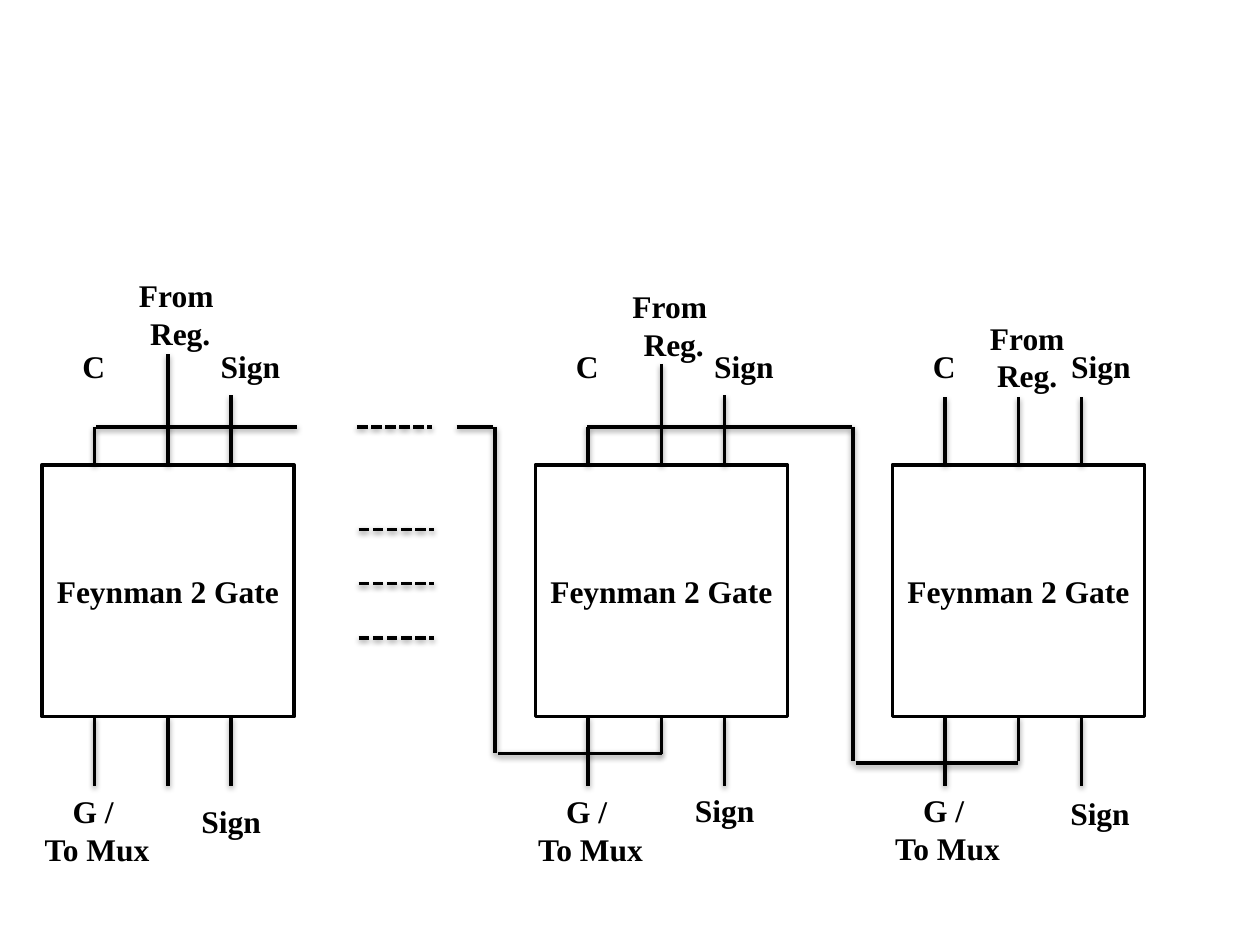
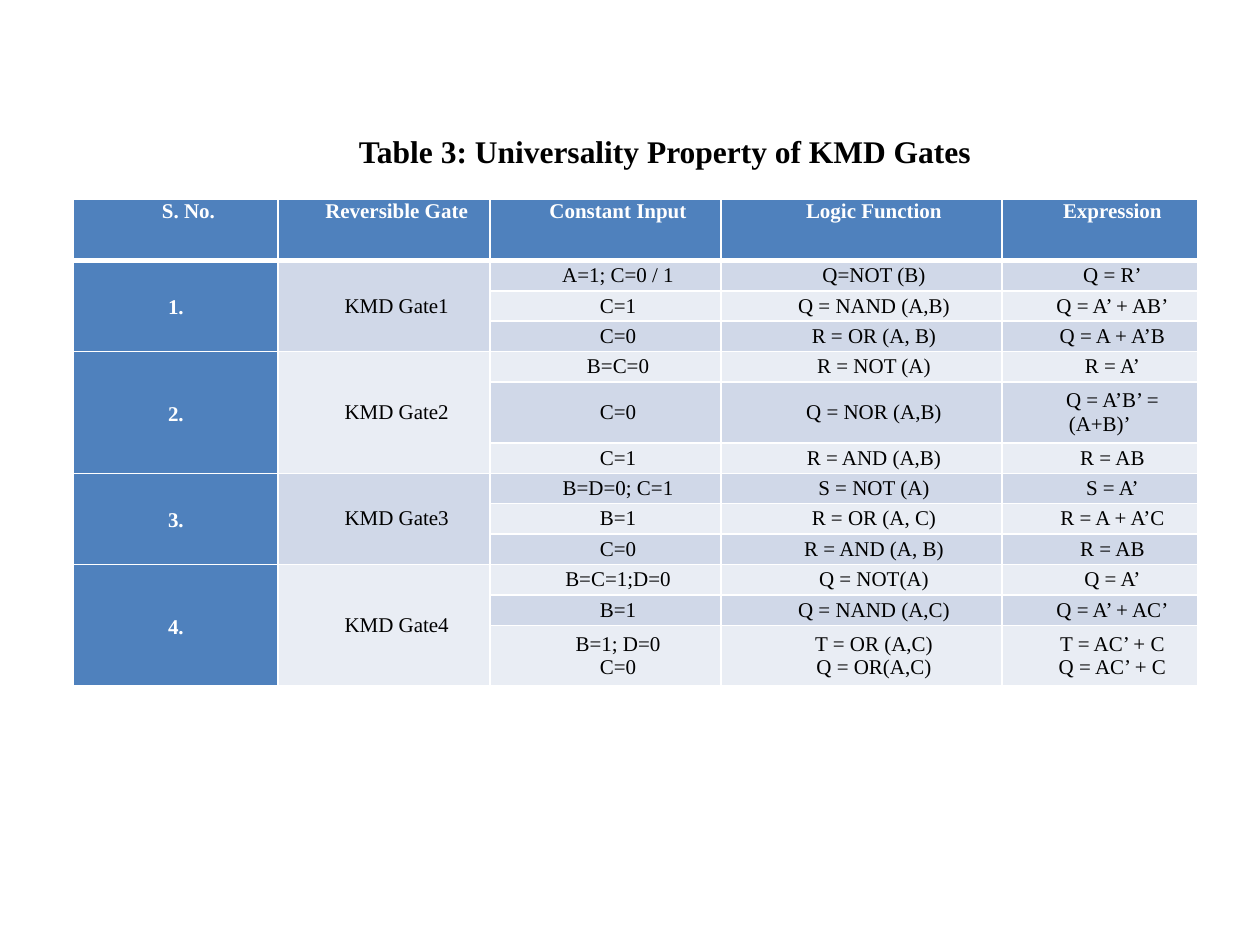
import pptx
import pptx.util
import pptx.dml.color
import pptx.enum.dml
import pptx.enum.shapes
import pptx.enum.text
import pptx.oxml
import pptx.oxml.ns
from lxml import etree

Pt = pptx.util.Pt
RGB = pptx.dml.color.RGBColor
ALIGN = pptx.enum.text.PP_ALIGN
ANCHOR = pptx.enum.text.MSO_ANCHOR
qn = pptx.oxml.ns.qn

BLACK = RGB(0, 0, 0)
WHITE = RGB(255, 255, 255)
BLUE = RGB(0x4F, 0x81, 0xBD)
BANDS = [RGB(0xD0, 0xD8, 0xE8), RGB(0xE9, 0xED, 0xF4)]
FACE = "Times New Roman"

SIDE, TOP = 144, 265.6
BASE = TOP + SIDE
PINS = (30, 72, 108)
BUS = 244
GATES = [
    dict(left=24, tops=(BUS, 202.5, 226), ends=(449, 449, 449),
         reg=("From \nReg.", 154, 62), mux=449, sign=(84, 454.5)),
    dict(left=306, tops=(BUS, 208, 226), ends=(449, 431, 449),
         reg=("From \nReg.", 160.5, 62), mux=449, sign=(84, 448.5)),
    dict(left=510, tops=(227, 227, 227), ends=(449, 435, 449),
         reg=("From\nReg.", 178.5, 58), mux=448.5, sign=(94.5, 450)),
]
LINKS = [
    (55, BUS, 170, BUS), (335.5, BUS, 487, BUS),
    (487.5, BUS, 487.5, 435), (489, 436, 582, 436),
    (261, BUS, 282, BUS), (283, BUS, 283, 430.5), (284.5, 430.5, 378, 430.5),
]
DOTS = [(204, BUS)] + [(205, 302.5 + 31 * n) for n in range(3)]

TITLE = "Table 3: Universality Property of KMD Gates"
HEADS = ["S. No.", "Reversible Gate", "Constant Input", "Logic Function", "Expression"]
WIDTHS = [117, 121, 132, 160.5, 112]
UNIT = 17.4
ROWS = {
    "KMD Gate1": [
        ("A=1; C=0 / 1", "Q=NOT (B)", "Q = R’"),
        ("C=1", "Q = NAND (A,B)", "Q = A’ + AB’"),
        ("C=0", "R = OR (A, B)", "Q = A + A’B"),
    ],
    "KMD Gate2": [
        ("B=C=0", "R = NOT (A)", "R = A’"),
        ("C=0", "Q = NOR (A,B)", "Q = A’B’ = (A+B)’"),
        ("C=1", "R = AND (A,B)", "R = AB"),
    ],
    "KMD Gate3": [
        ("B=D=0; C=1", "S = NOT (A)", "S = A’"),
        ("B=1", "R = OR (A, C)", "R = A + A’C"),
        ("C=0", "R = AND (A, B)", "R = AB"),
    ],
    "KMD Gate4": [
        ("B=C=1;D=0", "Q = NOT(A)", "Q = A’"),
        ("B=1", "Q = NAND (A,C)", "Q = A’ + AC’"),
        ("B=1; D=0\nC=0", "T = OR (A,C)\nQ = OR(A,C)", "T = AC’ + C\nQ = AC’ + C"),
    ],
}
TALL = (0, 5, 12)


def write(frame, text, size=18, bold=True, color=BLACK, align=ALIGN.CENTER,
          indent=0, space=None):
    for n, line in enumerate(text.split("\n")):
        para = frame.add_paragraph() if n else frame.paragraphs[0]
        para.alignment = align
        para.line_spacing = space
        if indent:
            prop = para._p.get_or_add_pPr()
            prop.set("marL", "0")
            prop.set("indent", str(Pt(indent)))
        run = para.add_run()
        run.text = line
        run.font.name, run.font.size = FACE, Pt(size)
        run.font.bold = bold
        run.font.color.rgb = color


def label(slide, text, x, y, w, h=29, **form):
    box = slide.shapes.add_textbox(Pt(x), Pt(y), Pt(w), Pt(h))
    box.text_frame.word_wrap = False
    box.text_frame.auto_size = pptx.enum.text.MSO_AUTO_SIZE.SHAPE_TO_FIT_TEXT
    write(box.text_frame, text, **form)


def wire(slide, x1, y1, x2, y2, dash=False):
    line = slide.shapes.add_connector(
        pptx.enum.shapes.MSO_CONNECTOR.STRAIGHT, Pt(x1), Pt(y1), Pt(x2), Pt(y2))
    line.line.color.rgb = BLACK
    line.line.width = Pt(2)
    if dash:
        line.line.dash_style = pptx.enum.dml.MSO_LINE.SQUARE_DOT
        dots = line.line._ln.find(qn("a:prstDash"))
        dots.set("val", "sysDash")
    glow = etree.SubElement(line._element.spPr, qn("a:effectLst"))
    cast = etree.SubElement(glow, qn("a:outerShdw"), blurRad="40000",
                            dist="20000", dir="5400000", rotWithShape="0")
    tint = etree.SubElement(cast, qn("a:srgbClr"), val=str(BLACK))
    etree.SubElement(tint, qn("a:alpha"), val="38000")
    return line


def draw_gate(slide, left, tops, ends, reg, mux, sign):
    gate = slide.shapes.add_shape(pptx.enum.shapes.MSO_SHAPE.RECTANGLE,
                                  Pt(left), Pt(TOP), Pt(SIDE), Pt(SIDE))
    gate.shadow.inherit = False
    gate.fill.solid()
    gate.fill.fore_color.rgb = WHITE
    gate.line.color.rgb = BLACK
    gate.line.width = Pt(2)
    gate.text_frame.vertical_anchor = ANCHOR.MIDDLE
    write(gate.text_frame, "Feynman 2 Gate")
    for pin, top, end in zip(PINS, tops, ends):
        x = left + pin
        above = wire(slide, x, top, x, TOP)
        below = wire(slide, x, BASE, x, end)
        if pin == SIDE / 2:
            above.end_connect(gate, 0)
            below.begin_connect(gate, 2)
    text, y, wide = reg
    label(slide, "C", left + 16, 195, 27, align=ALIGN.LEFT)
    label(slide, text, left + 48, y, wide, 51)
    label(slide, "Sign", left + 95, 195, 49, align=ALIGN.LEFT)
    label(slide, "G / \nTo Mux", left - 6, mux, 75, 51)
    label(slide, "Sign", left + sign[0], sign[1], 49, align=ALIGN.LEFT)


def style(cell, fill, row):
    cell.fill.solid()
    cell.fill.fore_color.rgb = fill
    cell.margin_left = cell.margin_right = Pt(5)
    cell.margin_top = cell.margin_bottom = 0
    cell.vertical_anchor = ANCHOR.MIDDLE if row else ANCHOR.TOP
    prop = cell._tc.get_or_add_tcPr()
    for n, side in enumerate("LRTB"):
        thick = (row, side) in ((0, "B"), (1, "T"))
        edge = etree.Element(qn("a:ln" + side), w=str(Pt(3 if thick else 1)))
        ink = etree.SubElement(edge, qn("a:solidFill"))
        etree.SubElement(ink, qn("a:srgbClr"), val=str(WHITE))
        prop.insert(n, edge)


def draw_table(slide):
    body = [("", "") + row for rows in ROWS.values() for row in rows]
    count = len(body) + 1
    grid = slide.shapes.add_table(count, len(HEADS), Pt(42), Pt(114),
                                  Pt(sum(WIDTHS)), Pt(UNIT * (count + len(TALL)))).table
    for col, wide in zip(grid.columns, WIDTHS):
        col.width = Pt(wide)
    for r, line in enumerate([HEADS] + body):
        grid.rows[r].height = Pt(UNIT * (2 if r in TALL else 1))
        for c, text in enumerate(line):
            cell = grid.cell(r, c)
            style(cell, BANDS[(r - 1) % 2] if r and c else BLUE, r)
            if text:
                write(cell.text_frame, text, size=12, bold=not r,
                      color=BLACK if r else WHITE, indent=14.4)
            else:
                etree.SubElement(cell.text_frame.paragraphs[0]._p,
                                 qn("a:endParaRPr"), sz="1200")
    start = 1
    for n, (name, rows) in enumerate(ROWS.items(), 1):
        last = start + len(rows) - 1
        for c in range(2):
            grid.cell(start, c).merge(grid.cell(last, c))
        write(grid.cell(start, 0).text_frame, f"{n}.", size=12, color=WHITE, space=1.15)
        write(grid.cell(start, 1).text_frame, name, size=12, bold=False, indent=14.4)
        start = last + 1


def main():
    deck = pptx.Presentation()
    deck.slide_width, deck.slide_height = Pt(720), Pt(540)
    blank = deck.slide_layouts[6]
    chain = deck.slides.add_slide(blank)
    for gate in GATES:
        draw_gate(chain, **gate)
    for link in LINKS:
        wire(chain, *link)
    for x, y in DOTS:
        wire(chain, x, y, x + 43, y, dash=True)
    proof = deck.slides.add_slide(blank)
    label(proof, TITLE, 198, 72, 368, align=ALIGN.LEFT)
    draw_table(proof)
    deck.save("out.pptx")


if __name__ == "__main__":
    main()
